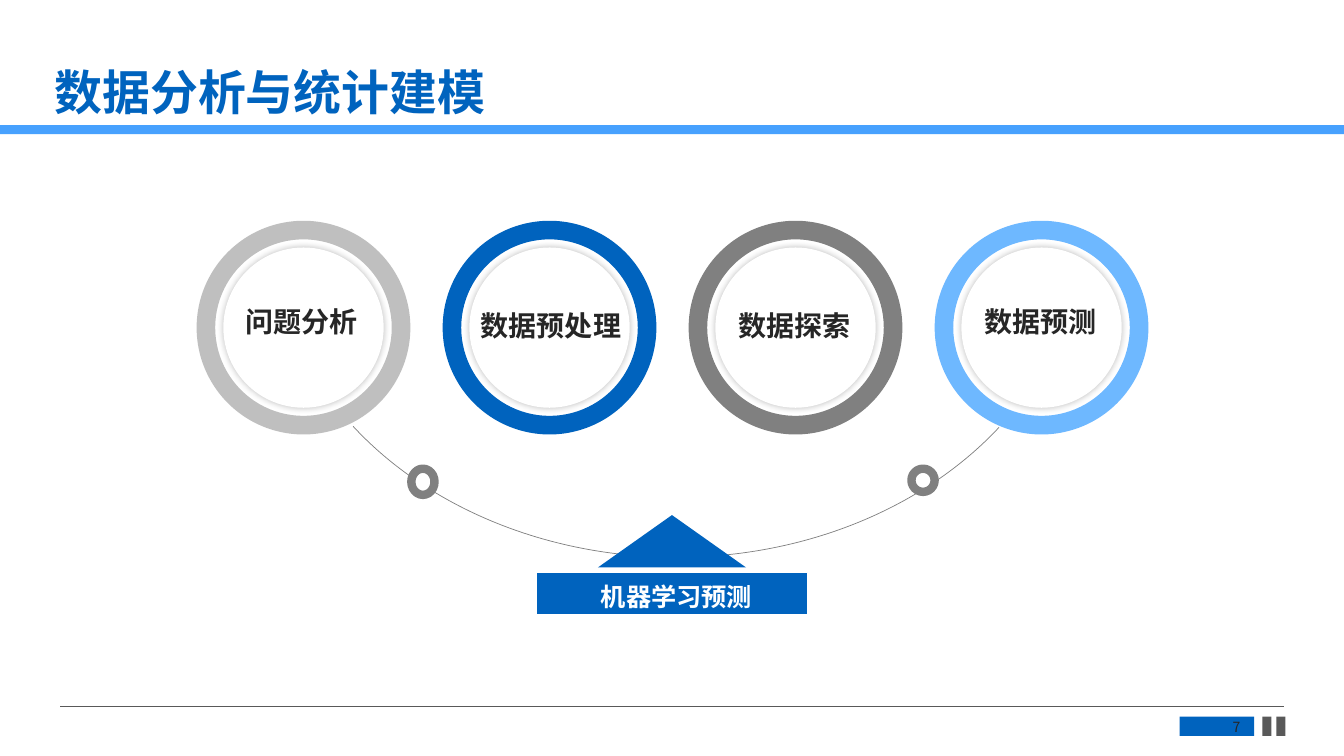
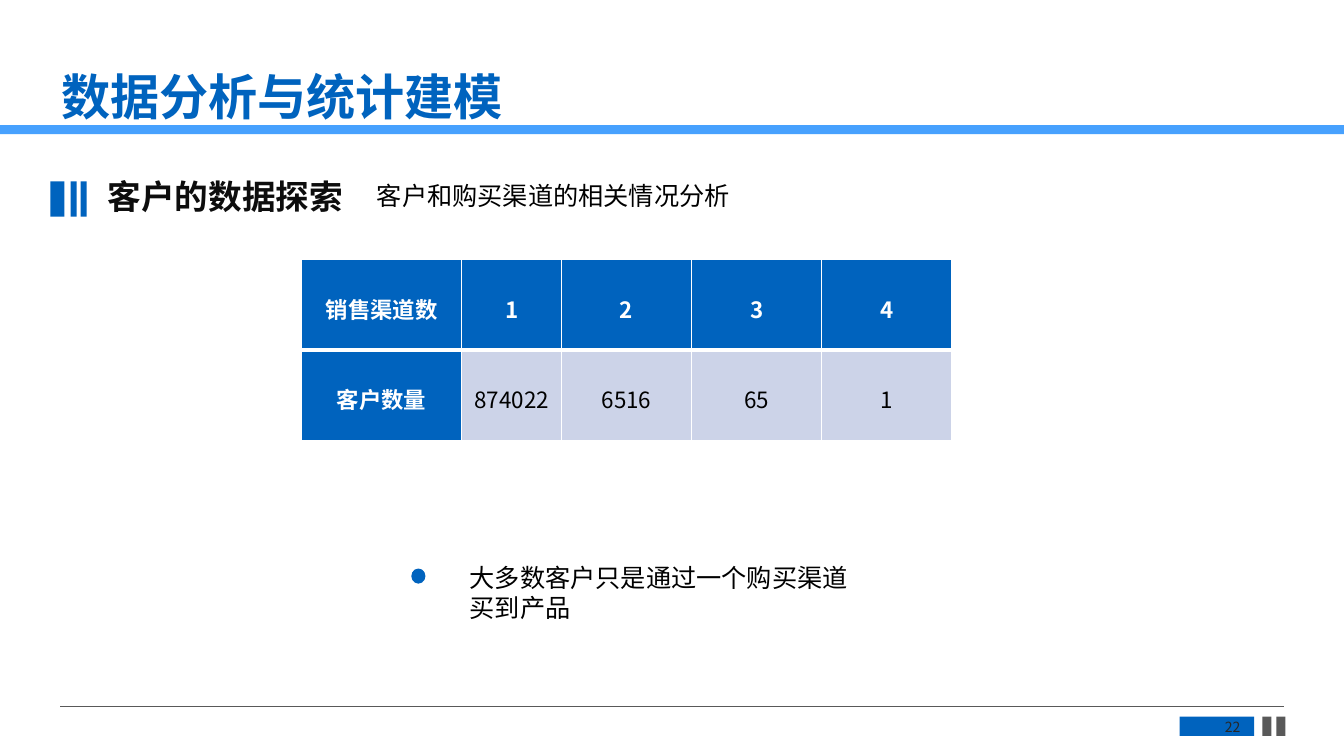
"""Two slides on data analysis and statistical modelling, sharing one frame."""
import lxml.etree
import pptx
import pptx.dml.color
import pptx.enum.shapes
import pptx.enum.text
import pptx.oxml.ns
import pptx.util

Inches = pptx.util.Inches
Pt = pptx.util.Pt
SHAPE = pptx.enum.shapes.MSO_SHAPE
ALIGN = pptx.enum.text.PP_ALIGN
ANCHOR = pptx.enum.text.MSO_ANCHOR
qn = pptx.oxml.ns.qn

BLUE, SKY, PALE_BLUE, LAVENDER = "0063BE", "47A1FE", "6EB8FF", "CCD3E8"
WHITE, BLACK, INK, HEADING = "FFFFFF", "000000", "262626", "0D0D0D"
SLATE, GREY, SILVER = "595959", "808080", "BFBFBF"
CALIBRI, LATO, NOTO = "Calibri", "Lato", "Noto Sans CJK SC"

TITLE = "数据分析与统计建模"
FOOTER_BLOCKS = [(11.7, 0.74, BLUE), (12.52, 0.09, SLATE), (12.66, 0.09, SLATE)]

STEPS = [
    ("问题分析", SILVER, 2.14, 2.97, 1.7),
    ("数据预处理", BLUE, 4.51, 3.01, 1.91),
    ("数据探索", GREY, 7.03, 3.01, 1.7),
    ("数据预测", PALE_BLUE, 9.47, 2.97, 1.7),
]
RING_LEFT, RING_TOP, RING_SIZE, RING_PITCH, DISC_SIZE = 1.95, 2.19, 2.12, 2.44, 1.59
ARC_ANGLES = (31.5, 148.7)
ARC_BEADS = [(4.08, 0.26), (9.04, 0.23)]
RESULT = "机器学习预测"

SECTION = "客户的数据探索"
SUBJECT = "客户和购买渠道的相关情况分析"
SECTION_BARS = [(0.5, 0.14), (0.7, 0.06), (0.8, 0.06)]
CHANNEL_ROWS = [
    ["销售渠道数", "1", "2", "3", "4"],
    ["客户数量", "874022", "6516", "65", "1"],
]
COLUMN_WIDTHS = [1.59, 0.99, 1.29, 1.29, 1.29]
ROW_HEIGHT = 0.9
FINDING = "大多数客户只是通过一个购买渠道买到产品"


def color(value):
    """Turn a hex string into a colour."""
    return pptx.dml.color.RGBColor.from_string(value)


def write(frame, text, size=18, font=NOTO, fill=BLACK, bold=False,
          align=ALIGN.LEFT, anchor=ANCHOR.TOP, spacing=None):
    """Put one formatted paragraph into a text frame or cell frame."""
    frame.word_wrap = True
    frame.vertical_anchor = anchor
    paragraph = frame.paragraphs[0]
    paragraph.alignment = align
    if spacing:
        paragraph.line_spacing = spacing
    run = paragraph.add_run()
    run.text = text
    run.font.size = Pt(size)
    run.font.bold = bold
    run.font.name = font
    run.font.color.rgb = color(fill)
    east_asian = lxml.etree.SubElement(run.font._element, qn("a:ea"))
    east_asian.set("typeface", NOTO)


def add_text(slide, box, text, **options):
    """Add a text box at left, top, width, height."""
    shape = slide.shapes.add_textbox(*map(Inches, box))
    write(shape.text_frame, text, **options)


def add_shape(slide, kind, box, fill=None, line=None, line_width=0.5, adjustments=()):
    """Add a flat preset shape."""
    shape = slide.shapes.add_shape(kind, *map(Inches, box))
    shape.shadow.inherit = False
    for index, value in enumerate(adjustments):
        shape.adjustments[index] = value
    if fill:
        shape.fill.solid()
        shape.fill.fore_color.rgb = color(fill)
    else:
        shape.fill.background()
    if line:
        shape.line.color.rgb = color(line)
        shape.line.width = Pt(line_width)
    else:
        shape.line.fill.background()
    return shape


def add_glow(shape):
    """Give a shape a soft, centred shadow."""
    effects = shape._element.spPr.find(qn("a:effectLst"))
    shadow = lxml.etree.SubElement(effects, qn("a:outerShdw"), blurRad=str(Pt(5)),
                                   dist="0", dir="0", algn="ctr", rotWithShape="0")
    tint = lxml.etree.SubElement(shadow, qn("a:srgbClr"), val=BLACK)
    lxml.etree.SubElement(tint, qn("a:alpha"), val="25000")


def set_borders(cell, widths):
    """Draw white borders on a cell, widths keyed by side."""
    properties = cell._tc.get_or_add_tcPr()
    for index, side in enumerate(("lnL", "lnR", "lnT", "lnB")):
        border = lxml.etree.Element(qn("a:" + side), w=str(Pt(widths.get(side, 1))))
        solid = lxml.etree.SubElement(border, qn("a:solidFill"))
        lxml.etree.SubElement(solid, qn("a:srgbClr"), val=WHITE)
        properties.insert(index, border)


def add_framed_slide(presentation, number, title_left, title_top, title_size):
    """Add a blank slide with title, band, footer and page number."""
    slide = presentation.slides.add_slide(presentation.slide_layouts[6])
    add_shape(slide, SHAPE.RECTANGLE, (0, 1.24, 13.33, 0.09), SKY)
    rule = slide.shapes.add_connector(
        pptx.enum.shapes.MSO_CONNECTOR.STRAIGHT,
        Inches(0.6), Inches(7.01), Inches(12.73), Inches(7.01))
    rule.line.color.rgb = color(SLATE)
    rule.line.width = Pt(0.5)
    lxml.etree.SubElement(rule._element.spPr, qn("a:effectLst"))
    for left, width, fill in FOOTER_BLOCKS:
        add_shape(slide, SHAPE.RECTANGLE, (left, 7.11, width, 0.19), fill)
    add_text(slide, (title_left, title_top, 12.18, 0.64), TITLE, size=title_size,
             font=CALIBRI, fill=BLUE, bold=True, anchor=ANCHOR.BOTTOM, spacing=0.9)
    add_text(slide, (11.74, 7.13, 0.66, 0.17), str(number), size=10, fill=INK,
             align=ALIGN.RIGHT, anchor=ANCHOR.MIDDLE)
    return slide


def build_process_slide(presentation):
    """Show four steps leading to a prediction."""
    slide = add_framed_slide(presentation, 7, 0.44, 0.61, 34.2)
    add_shape(slide, SHAPE.ARC, (2.7, -0.97, 8.02, 6.5), line=GREY,
              adjustments=[angle * 0.6 for angle in ARC_ANGLES])
    inset = (RING_SIZE - DISC_SIZE) / 2
    for index, (label, fill, left, top, width) in enumerate(STEPS):
        ring_left = RING_LEFT + index * RING_PITCH
        add_shape(slide, SHAPE.DONUT, (ring_left, RING_TOP, RING_SIZE, RING_SIZE), fill,
                  adjustments=[0.087])
        disc = add_shape(slide, SHAPE.OVAL, (ring_left + inset, RING_TOP + inset,
                                             DISC_SIZE, DISC_SIZE), WHITE)
        add_glow(disc)
        add_text(slide, (left, top, width, 0.43), label, size=20, font=CALIBRI,
                 fill=INK, bold=True, align=ALIGN.CENTER)
    for left, height in ARC_BEADS:
        add_shape(slide, SHAPE.OVAL, (left, 4.65, 0.23, height), WHITE, GREY, 6)
    add_shape(slide, SHAPE.RECTANGLE, (5.32, 5.68, 2.69, 0.41), BLUE, WHITE, 0.25)
    add_shape(slide, SHAPE.ISOSCELES_TRIANGLE, (5.93, 5.11, 1.47, 0.52), BLUE)
    add_text(slide, (5.47, 5.72, 2.48, 0.4), RESULT, font=CALIBRI, fill=WHITE,
             bold=True, align=ALIGN.CENTER)


def add_channel_table(slide):
    """Add the table of customers by number of channels."""
    box = (2.99, 2.57, sum(COLUMN_WIDTHS), ROW_HEIGHT * len(CHANNEL_ROWS))
    table = slide.shapes.add_table(len(CHANNEL_ROWS), len(COLUMN_WIDTHS),
                                   *map(Inches, box)).table
    table.horz_banding = False
    for column, width in zip(table.columns, COLUMN_WIDTHS):
        column.width = Inches(width)
    for row_index, values in enumerate(CHANNEL_ROWS):
        table.rows[row_index].height = Inches(ROW_HEIGHT)
        for column_index, value in enumerate(values):
            cell = table.cell(row_index, column_index)
            heading = row_index == 0 or column_index == 0
            cell.fill.solid()
            cell.fill.fore_color.rgb = color(BLUE if heading else LAVENDER)
            cell.margin_left = cell.margin_right = Inches(0.07)
            cell.margin_top, cell.margin_bottom = Inches(0.08), 0
            cell.vertical_anchor = ANCHOR.MIDDLE
            write(cell.text_frame, value, size=16, fill=WHITE if heading else BLACK,
                  bold=heading, align=ALIGN.CENTER, anchor=ANCHOR.MIDDLE)
            set_borders(cell, {"lnB": 3} if row_index == 0 else {"lnT": 3})


def build_channel_slide(presentation):
    """Show how many channels customers buy through."""
    slide = add_framed_slide(presentation, 22, 0.51, 0.66, 35.1)
    for left, width in SECTION_BARS:
        add_shape(slide, SHAPE.RECTANGLE, (left, 1.8, width, 0.35), BLUE)
    add_text(slide, (0.97, 1.74, 2.67, 0.47), SECTION, size=24, font=LATO,
             fill=HEADING, bold=True, spacing=0.9)
    add_text(slide, (3.64, 1.74, 3.93, 0.4), SUBJECT)
    add_channel_table(slide)
    add_shape(slide, SHAPE.OVAL, (4.08, 5.64, 0.14, 0.15), BLUE)
    add_text(slide, (4.56, 5.53, 4.07, 0.71), FINDING)


def main():
    """Build and save the presentation."""
    presentation = pptx.Presentation()
    presentation.slide_width = Inches(13.33)
    presentation.slide_height = Inches(7.5)
    build_process_slide(presentation)
    build_channel_slide(presentation)
    presentation.save("out.pptx")


if __name__ == "__main__":
    main()
